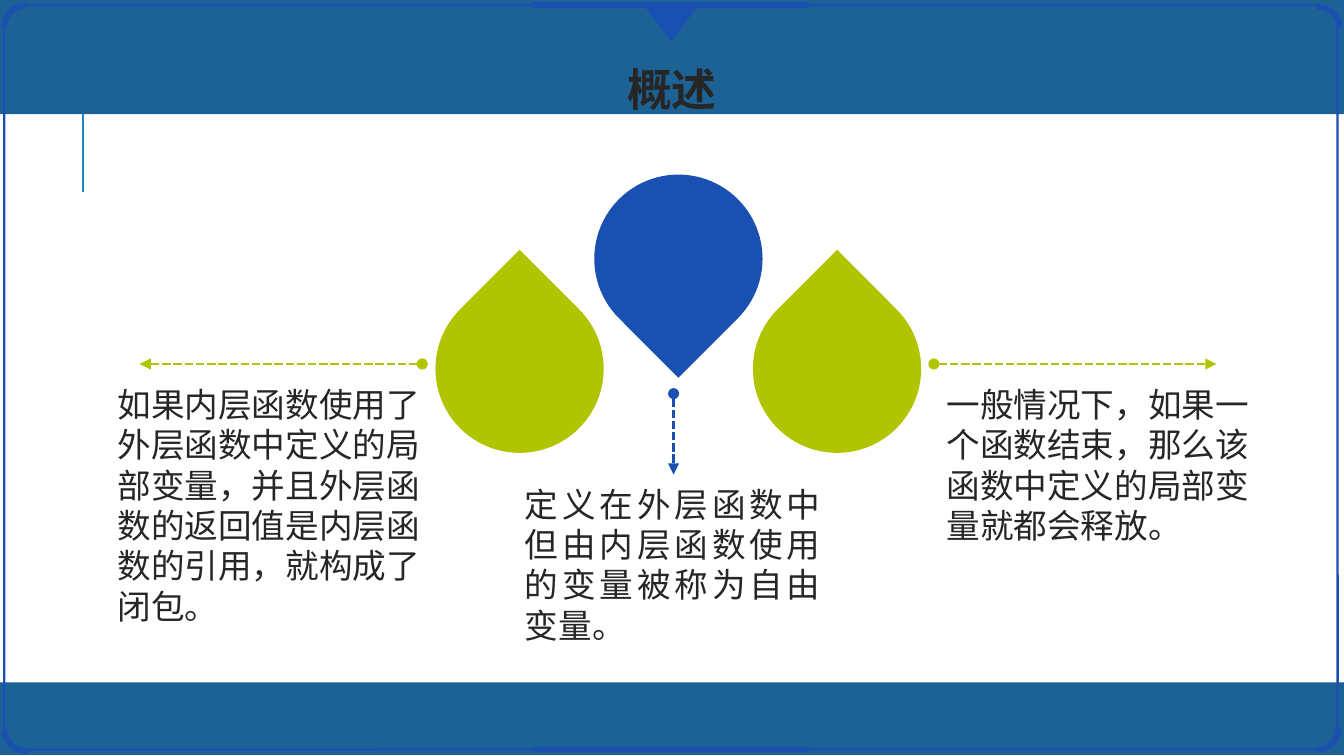
from dataclasses import dataclass
from typing import Optional

import pptx
import pptx.dml.color
import pptx.enum.dml
import pptx.enum.shapes
import pptx.enum.text
import pptx.oxml.ns
import pptx.util
from lxml import etree

Cm = pptx.util.Cm
Pt = pptx.util.Pt
RGBColor = pptx.dml.color.RGBColor
Shape = pptx.enum.shapes.MSO_SHAPE
Align = pptx.enum.text.PP_ALIGN
AutoSize = pptx.enum.text.MSO_AUTO_SIZE
qn = pptx.oxml.ns.qn

BAND_BLUE = RGBColor(0x1D, 0x62, 0x94)
RULE_BLUE = RGBColor(0x26, 0x83, 0xC6)
FRAME_BLUE = RGBColor(0x19, 0x50, 0xB2)
LIME = RGBColor(0xB1, 0xC4, 0x00)
INK = RGBColor(0x26, 0x26, 0x26)
FONT = "Noto Sans CJK SC"
WIDTH, HEIGHT = 25.4, 14.29
DROP_SIZE, DROP_LEFT, DROP_STEP = 3.18, 8.23, 3


@dataclass
class Box:
    left: float
    top: float
    width: float
    height: float

    def lengths(self) -> tuple:
        return Cm(self.left), Cm(self.top), Cm(self.width), Cm(self.height)


@dataclass
class Line:
    start: tuple
    end: tuple
    color: RGBColor
    weight: float
    arrow: bool = False


@dataclass
class Point:
    """One drop with its arrow and explanation."""
    drop_top: float
    rotation: float
    arrow: Line
    text_box: Box
    text: str
    align: Optional[Align] = None


FRAME_LINES = [
    Line((10.06, 0.1), (15.29, 0.1), FRAME_BLUE, 3),
    Line((10.06, 14.17), (15.29, 14.17), FRAME_BLUE, 3),
]
CORNERS = [
    (Box(0.05, 0.13, 0.86, 0.81), 270),
    (Box(0.08, 13.39, 0.86, 0.81), 180),
    (Box(24.46, 0.13, 0.86, 0.81), 0),
    (Box(24.46, 13.34, 0.86, 0.81), 90),
]
POINTS = [
    Point(5.38, 315, Line((7.98, 6.88), (2.64, 6.88), LIME, 1.5, True),
          Box(2.03, 7.16, 6.25, 4.8),
          "如果内层函数使用了外层函数中定义的局部变量，并且外层函数的返回值是内层函数的引用，就构成了闭包。"),
    Point(3.3, 135, Line((12.73, 7.44), (12.73, 8.97), FRAME_BLUE, 1.5, True),
          Box(9.73, 9.04, 5.97, 3.28),
          "定义在外层函数中但由内层函数使用的变量被称为自由变量。", Align.JUSTIFY),
    Point(5.38, 315, Line((17.65, 6.88), (22.99, 6.88), LIME, 1.5, True),
          Box(17.7, 7.16, 6.25, 3.28),
          "一般情况下，如果一个函数结束，那么该函数中定义的局部变量就都会释放。"),
]


def draw_shape(slide, kind: Shape, box: Box, fill: Optional[RGBColor] = None,
               line: Optional[RGBColor] = None, weight: float = 1.25,
               rotation: float = 0):
    shape = slide.shapes.add_shape(kind, *box.lengths())
    shape.shadow.inherit = False
    shape.rotation = rotation
    if fill is None:
        shape.fill.background()
    else:
        shape.fill.solid()
        shape.fill.fore_color.rgb = fill
    if line is None:
        shape.line.fill.background()
    else:
        shape.line.color.rgb = line
        shape.line.width = Pt(weight)
    return shape


def draw_line(slide, line: Line) -> None:
    connector = slide.shapes.add_connector(
        pptx.enum.shapes.MSO_CONNECTOR.STRAIGHT,
        *(Cm(value) for value in line.start + line.end))
    connector.line.color.rgb = line.color
    connector.line.width = Pt(line.weight)
    if line.arrow:
        connector.line.dash_style = pptx.enum.dml.MSO_LINE.SQUARE_DOT
        outline = connector.line._get_or_add_ln()
        for end, kind in (("a:headEnd", "oval"), ("a:tailEnd", "triangle")):
            etree.SubElement(outline, qn(end), type=kind)
    etree.SubElement(connector.element.spPr, qn("a:effectLst"))


def write_text(shape, box: Box, text: str, size: float, align: Optional[Align],
               wrap: bool = True, bold: bool = False) -> None:
    shape.left, shape.top, shape.width, shape.height = box.lengths()
    frame = shape.text_frame
    frame_format = {
        "margin_left": Cm(0.19), "margin_right": Cm(0.19),
        "margin_top": Cm(0.1), "margin_bottom": Cm(0.1),
        "vertical_anchor": pptx.enum.text.MSO_ANCHOR.TOP,
        "word_wrap": wrap, "auto_size": AutoSize.SHAPE_TO_FIT_TEXT,
    }
    for name, value in frame_format.items():
        setattr(frame, name, value)
    paragraph = frame.paragraphs[0]
    paragraph.alignment = align
    run = paragraph.add_run()
    run.text = text
    for name, value in {"name": FONT, "size": Pt(size), "bold": bold}.items():
        setattr(run.font, name, value)
    run.font.color.rgb = INK
    etree.SubElement(run._r.get_or_add_rPr(), qn("a:ea"), typeface=FONT)


def draw_frame(slide) -> None:
    draw_line(slide, Line((1.57, 3.63), (1.57, 1.73), RULE_BLUE, 1.5))
    for band in (Box(0, 12.9, WIDTH, 1.37), Box(0, -0.08, WIDTH, 2.24)):
        draw_shape(slide, Shape.RECTANGLE, band, fill=BAND_BLUE)
    border = draw_shape(slide, Shape.ROUNDED_RECTANGLE,
                        Box(0.08, 0.1, 25.2, 14.07), line=FRAME_BLUE)
    border.adjustments[0] = 0.03
    for box, rotation in CORNERS:
        draw_shape(slide, Shape.ARC, box, line=FRAME_BLUE, weight=3,
                   rotation=rotation)
    for line in FRAME_LINES:
        draw_line(slide, line)
    draw_shape(slide, Shape.ISOSCELES_TRIANGLE, Box(12.19, 0.1, 0.99, 0.64),
               fill=FRAME_BLUE, line=FRAME_BLUE, rotation=180)


def draw_point(slide, index: int, point: Point) -> None:
    drop = Box(DROP_LEFT + index * DROP_STEP, point.drop_top, DROP_SIZE, DROP_SIZE)
    draw_shape(slide, Shape.TEAR, drop, fill=point.arrow.color,
               rotation=point.rotation)
    draw_line(slide, point.arrow)
    text_box = slide.shapes.add_textbox(*point.text_box.lengths())
    write_text(text_box, point.text_box, point.text, 18, point.align)


def main() -> None:
    presentation = pptx.Presentation()
    presentation.slide_width = Cm(WIDTH)
    presentation.slide_height = Cm(HEIGHT)
    slide = presentation.slides.add_slide(presentation.slide_layouts[5])
    draw_frame(slide)
    title = slide.shapes.title
    write_text(title, Box(11.66, 1.07, 2.08, 1.22), "概述", 24, Align.CENTER,
               wrap=False, bold=True)
    # The title stands in front of the top band.
    title.element.getparent().append(title.element)
    for index, point in enumerate(POINTS):
        draw_point(slide, index, point)
    presentation.save("out.pptx")


if __name__ == "__main__":
    main()
